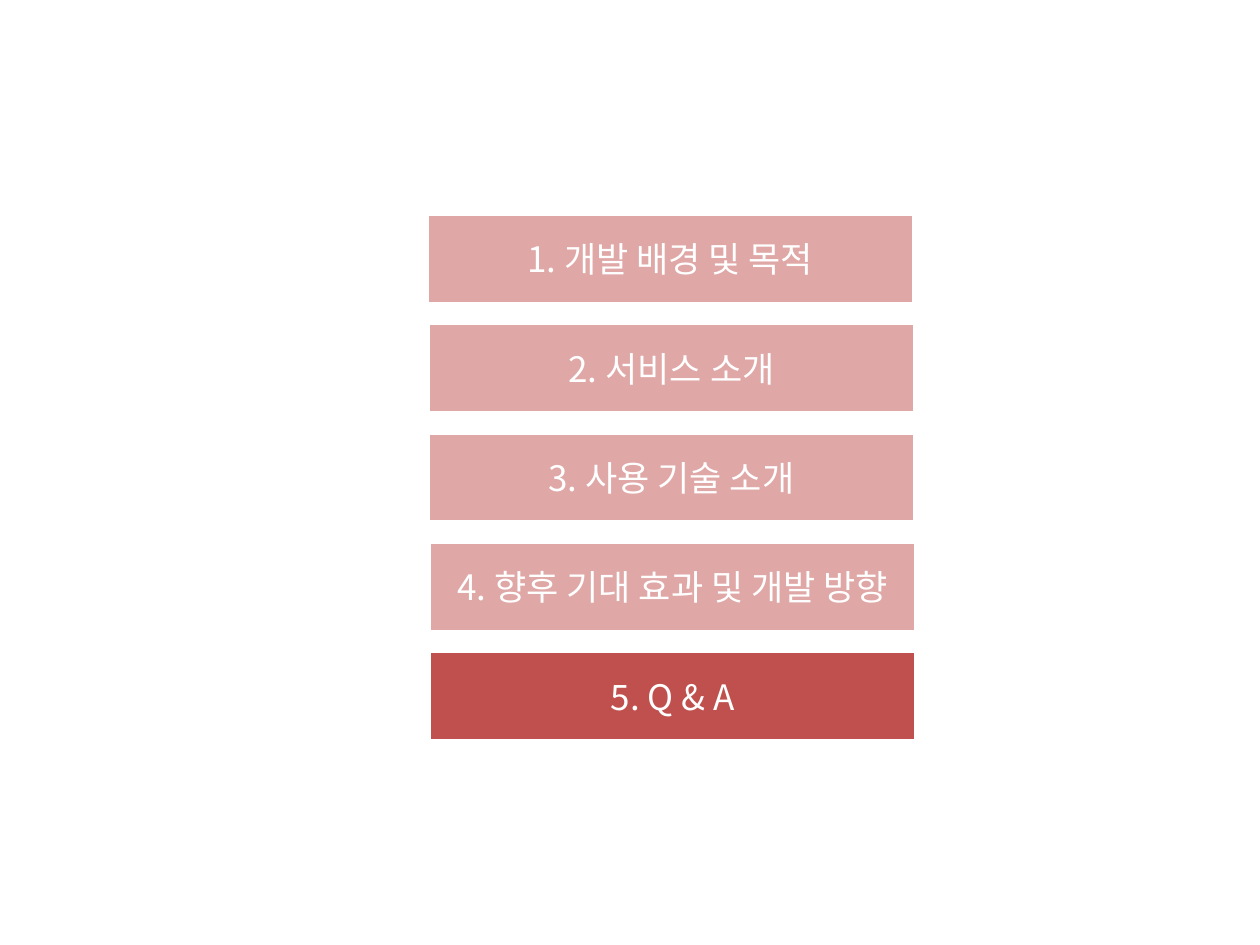
from dataclasses import dataclass

from lxml.etree import SubElement
from pptx import Presentation
from pptx.dml.color import RGBColor
from pptx.enum.shapes import MSO_SHAPE
from pptx.enum.text import MSO_ANCHOR, PP_ALIGN
from pptx.oxml.ns import qn
from pptx.util import Inches, Pt


@dataclass(frozen=True)
class Theme:
    accent: RGBColor = RGBColor(0xC0, 0x50, 0x4D)
    white: RGBColor = RGBColor(0xFF, 0xFF, 0xFF)
    font: str = "Noto Sans CJK KR"
    item_size: int = 20
    border_width: int = 2
    faded_alpha: int = 50


THEME = Theme()
AGENDA = [
    "1. 개발 배경 및 목적",
    "2. 서비스 소개",
    "3. 사용 기술 소개",
    "4. 향후 기대 효과 및 개발 방향",
    "5. Q & A",
]
CURRENT_ITEM = 4
ITEM_OFFSETS = [0, 0.01, 0.01, 0.02, 0.02]


def write_text(box, text, *, size, color, font, align=PP_ALIGN.CENTER):
    frame = box.text_frame
    frame.word_wrap = True
    frame.vertical_anchor = MSO_ANCHOR.MIDDLE
    para = frame.paragraphs[0]
    para.alignment = align
    span = para.add_run()
    span.text = text
    span.font.size = Pt(size)
    span.font.color.rgb = color
    span.font.name = font
    SubElement(span.font._element, qn("a:ea")).set("typeface", font)


def set_opacity(box, percent):
    color = box.fill._xPr.find(qn("a:solidFill"))[0]
    SubElement(color, qn("a:alpha")).set("val", str(percent * 1000))


def add_item(page, text, left, top, width, height, is_current):
    box = page.shapes.add_shape(
        MSO_SHAPE.RECTANGLE, Inches(left), Inches(top), Inches(width), Inches(height)
    )
    box.shadow.inherit = False
    box.fill.solid()
    box.fill.fore_color.rgb = THEME.accent
    if not is_current:
        set_opacity(box, THEME.faded_alpha)
    box.line.color.rgb = THEME.white
    box.line.width = Pt(THEME.border_width)
    write_text(box, text, size=THEME.item_size, color=THEME.white, font=THEME.font)


def add_agenda(page, left, top, width, height):
    item_height = 0.71
    pitch = (height - item_height) / (len(AGENDA) - 1)
    item_width = width - max(ITEM_OFFSETS)
    for index, (text, offset) in enumerate(zip(AGENDA, ITEM_OFFSETS)):
        add_item(
            page, text, left + offset, top + index * pitch,
            item_width, item_height, index == CURRENT_ITEM,
        )


def main():
    deck = Presentation()
    deck.slide_width = Inches(10)
    deck.slide_height = Inches(7.5)
    page = deck.slides.add_slide(deck.slide_layouts[6])
    add_agenda(page, left=3.39, top=1.7, width=3.88, height=4.18)
    deck.save("out.pptx")


if __name__ == "__main__":
    main()
